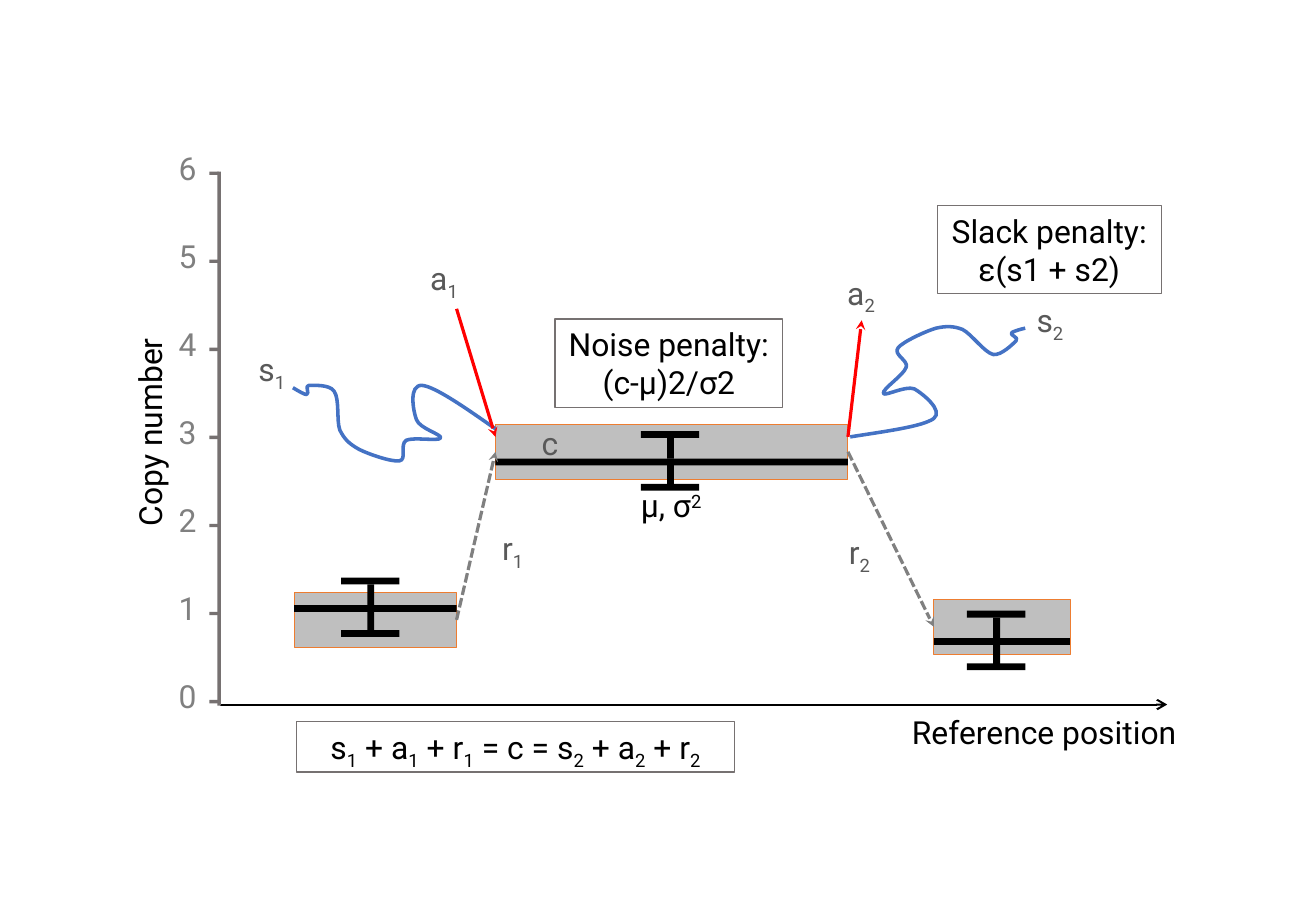
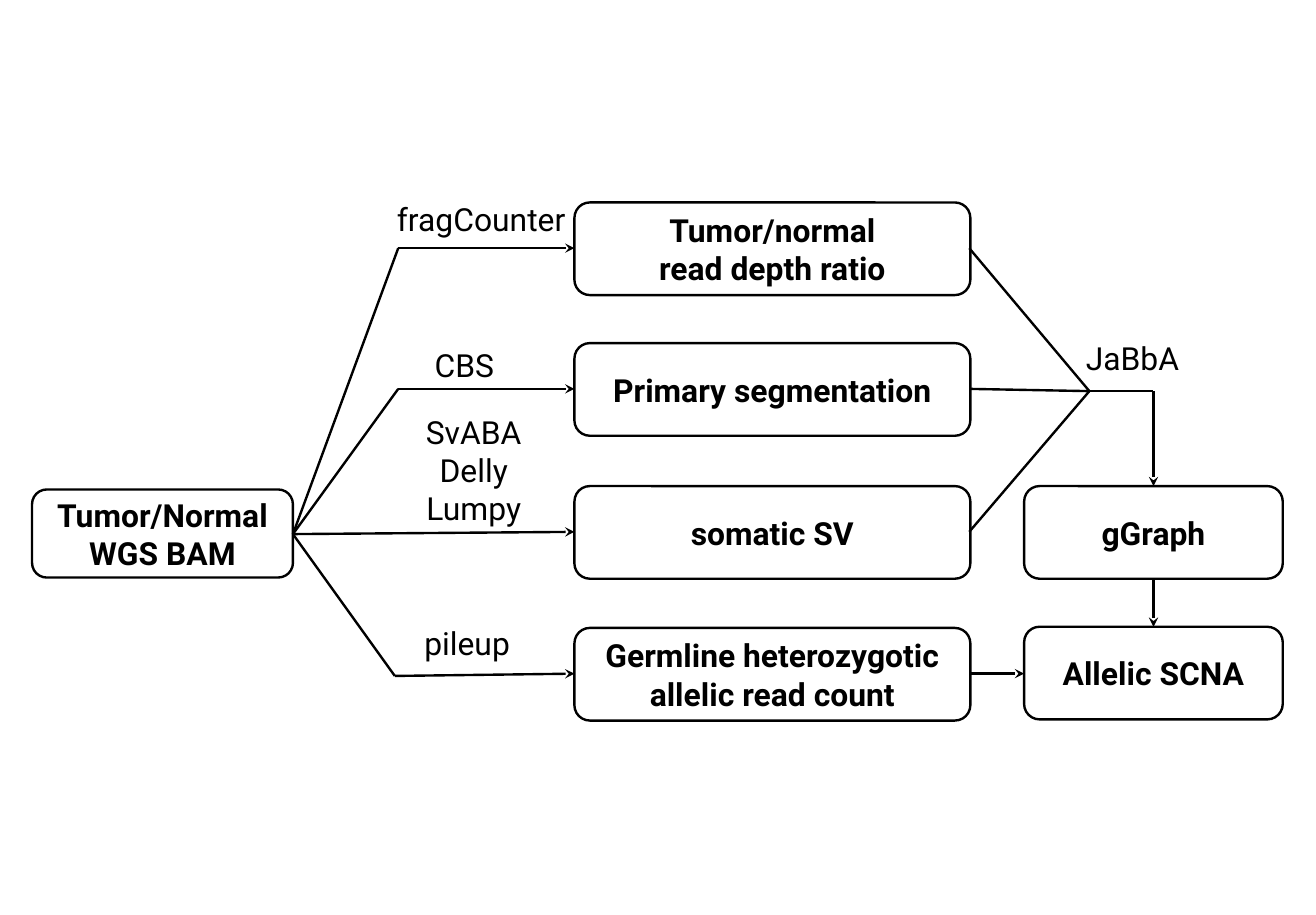
from dataclasses import dataclass

from lxml import etree
from pptx import Presentation
from pptx import util as u
from pptx.dml import color
from pptx.enum import dml, shapes, text
from pptx.oxml import ns


@dataclass(frozen=True)
class Theme:
    """Colours, font and type size shared by both slides."""
    font: str = "Roboto"
    size: int = 20
    black: str = "000000"
    white: str = "FFFFFF"
    symbol: str = "595959"
    tick: str = "808080"
    axis: str = "767171"
    segment: str = "BFBFBF"
    edge: str = "ED7D31"
    slack: str = "4472C4"
    aberrant: str = "FF0000"


theme = Theme()
BASELINES = {"_": "-25000", "^": "30000"}


def add_box(slide, frame, content="", fill=None, line=None, weight=0.75, ink=theme.black,
            preset=None, bold=False, wrap=False, align=text.PP_ALIGN.CENTER):
    """Add a shape or, without a preset, a text box; _ lowers and ^ raises the next character."""
    frame = [u.Inches(value) for value in frame]
    if preset is None:
        box = slide.shapes.add_textbox(*frame)
    else:
        box = slide.shapes.add_shape(preset, *frame)
        box.shadow.inherit = False
        if fill:
            box.fill.solid()
            box.fill.fore_color.rgb = color.RGBColor.from_string(fill)
        else:
            box.fill.background()
        if line:
            box.line.color.rgb = color.RGBColor.from_string(line)
            box.line.width = u.Pt(weight)
        else:
            box.line.fill.background()
    if not content:
        return box
    body = box.text_frame
    body.word_wrap = wrap
    if preset == shapes.MSO_SHAPE.ROUNDED_RECTANGLE:
        body.vertical_anchor = text.MSO_ANCHOR.MIDDLE
    else:
        body.auto_size = text.MSO_AUTO_SIZE.SHAPE_TO_FIT_TEXT
        body.vertical_anchor = text.MSO_ANCHOR.TOP
    body.text = content.replace("_", "\t_").replace("^", "\t^")
    for para in body.paragraphs:
        para.alignment = align
        pieces = []
        for piece in para.text.split("\t"):
            if piece[0] in BASELINES:
                pieces += [(piece[1], BASELINES[piece[0]]), (piece[2:], None)]
            else:
                pieces.append((piece, None))
        para.text = ""
        for piece, baseline in pieces:
            if not piece:
                continue
            span = para.add_run()
            span.text = piece
            span.font.name = theme.font
            span.font.size = u.Pt(theme.size)
            span.font.bold = bold
            span.font.color.rgb = color.RGBColor.from_string(ink)
            if baseline:
                span._r.get_or_add_rPr().set("baseline", baseline)
    return box


def add_line(slide, start, end, ink=theme.black, weight=1.5, arrow=None, dashed=False):
    """Add a straight connector, with an arrowhead at its end if one is named."""
    line = slide.shapes.add_connector(
        shapes.MSO_CONNECTOR.STRAIGHT, *[u.Inches(value) for value in (*start, *end)])
    line.line.color.rgb = color.RGBColor.from_string(ink)
    line.line.width = u.Pt(weight)
    if dashed:
        line.line.dash_style = dml.MSO_LINE.SQUARE_DOT
    if arrow:
        etree.SubElement(line.line._get_or_add_ln(), ns.qn("a:tailEnd"), type=arrow)
    etree.SubElement(line._element.spPr, ns.qn("a:effectLst"))


deck = Presentation()
deck.slide_width = u.Inches(11.5)
deck.slide_height = u.Inches(8)
blank = deck.slide_layouts[6]
rect = shapes.MSO_SHAPE.RECTANGLE
rounded = shapes.MSO_SHAPE.ROUNDED_RECTANGLE

# Slide 1: copy number along the reference
page = deck.slides.add_slide(blank)

add_line(page, (1.92, 6.16), (10.2, 6.16), weight=1.25, arrow="arrow")
add_box(page, (7.85, 6.18, 2.55, 0.44), "Reference position")
add_box(page, (-0.78, 3.56, 4.18, 0.44), "Copy number", wrap=True).rotation = 270
add_box(page, (1.9, 1.5, 0.03, 4.67), fill=theme.axis, preset=rect)
for copies in range(7):
    tick_top = 6.12 - 0.77 * copies
    add_box(page, (1.83, tick_top, 0.08, 0.03), fill=theme.axis, preset=rect)
    add_box(page, (1.46, tick_top - 0.25, 0.36, 0.44), str(copies), ink=theme.tick)

# Segments: left, top, width, top of the mean line, centre of the error bar
segments = [
    (2.57, 5.18, 1.42, 5.29, 3.24),
    (4.33, 3.71, 3.08, 4.01, 5.86),
    (8.16, 5.24, 1.19, 5.58, 8.71),
]
for left, top, width, mean, centre in segments:
    add_box(page, (left, top, width, 0.48), fill=theme.segment, line=theme.edge,
            weight=0.5, preset=rect)
    bars = [(left, mean, width, 0.06)]
    for cap, stem in ((-0.24, -0.18), (0.22, 0.05)):
        bars.append((centre - 0.03, mean + stem, 0.06, 0.18))
        bars.append((centre - 0.26, mean + cap, 0.51, 0.06))
    for bar in bars:
        add_box(page, bar, fill=theme.black, preset=rect)

for start, end in [((3.99, 5.42), (4.33, 3.95)), ((7.41, 3.95), (8.16, 5.48))]:
    add_line(page, start, end, theme.tick, 2, "stealth", dashed=True)

# Slack curves: a start point, then two handles and an end point for each bend
slack_curves = [
    [(4.33, 3.75),
     (4.06, 3.56), (3.8, 3.38), (3.69, 3.37), (3.57, 3.36), (3.61, 3.59), (3.64, 3.67),
     (3.67, 3.75), (3.87, 3.8), (3.85, 3.83), (3.84, 3.86), (3.61, 3.82), (3.55, 3.85),
     (3.49, 3.89), (3.56, 4.02), (3.49, 4.03), (3.42, 4.04), (3.22, 3.97), (3.14, 3.93),
     (3.05, 3.88), (3.01, 3.84), (2.97, 3.76), (2.94, 3.68), (2.97, 3.49), (2.92, 3.42),
     (2.88, 3.36), (2.74, 3.37), (2.7, 3.37), (2.66, 3.37), (2.71, 3.44), (2.68, 3.45),
     (2.66, 3.45), (2.61, 3.42), (2.56, 3.39)],
    [(7.43, 3.82),
     (7.75, 3.77), (8.06, 3.73), (8.16, 3.66), (8.25, 3.59), (8.06, 3.44), (7.99, 3.4),
     (7.91, 3.37), (7.73, 3.47), (7.72, 3.44), (7.71, 3.4), (7.9, 3.28), (7.92, 3.21),
     (7.94, 3.15), (7.8, 3.1), (7.85, 3.04), (7.89, 2.99), (8.08, 2.9), (8.18, 2.87),
     (8.27, 2.85), (8.33, 2.85), (8.41, 2.88), (8.49, 2.92), (8.6, 3.08), (8.68, 3.1),
     (8.75, 3.11), (8.85, 3.01), (8.88, 2.98), (8.91, 2.95), (8.82, 2.93), (8.84, 2.91),
     (8.85, 2.9), (8.91, 2.88), (8.96, 2.87)],
]
for curve in slack_curves:
    points = [(u.Inches(x), u.Inches(y)) for x, y in curve]
    builder = page.shapes.build_freeform(*points[0])
    builder.add_line_segments(points[1:], close=False)
    squiggle = builder.convert_to_shape()
    squiggle.shadow.inherit = False
    squiggle.fill.background()
    squiggle.line.color.rgb = color.RGBColor.from_string(theme.slack)
    squiggle.line.width = u.Pt(2.25)
    # Turn every three straight steps into one Bezier bend
    outline = squiggle._element.find(".//" + ns.qn("a:path"))
    steps = outline.findall(ns.qn("a:lnTo"))
    for first in range(0, len(steps), 3):
        bend = etree.SubElement(outline, ns.qn("a:cubicBezTo"))
        for step in steps[first:first + 3]:
            bend.append(step[0])
            outline.remove(step)

for start, end in [((3.99, 2.7), (4.33, 3.82)), ((7.41, 3.82), (7.53, 2.8))]:
    add_line(page, start, end, theme.aberrant, 2, "stealth")

symbols = [
    ("r_1", 4.28, 4.57, 0.4), ("r_2", 7.31, 4.61, 0.4),
    ("s_1", 2.15, 3.01, 0.45), ("s_2", 8.95, 2.58, 0.45),
    ("a_1", 3.54, 2.21, 0.68), ("a_2", 7.21, 2.34, 0.63),
    ("c", 4.63, 3.66, 0.35),
]
for symbol, left, top, width in symbols:
    add_box(page, (left, top, width, 0.44), symbol, ink=theme.symbol)
add_box(page, (5.48, 4.2, 0.77, 0.44), "μ, σ^2")

formulas = [
    ("s_1 + a_1 + r_1 = c = s_2 + a_2 + r_2", (2.59, 6.31, 3.83, 0.44), True),
    ("Noise penalty:\n(c-μ)2/σ2", (4.85, 2.79, 1.99, 0.77), False),
    ("Slack penalty:\nε(s1 + s2)", (8.19, 1.8, 1.96, 0.77), False),
]
for formula, frame, wrap in formulas:
    add_box(page, frame, formula, line=theme.axis, preset=rect, wrap=wrap)

# Slide 2: analysis pipeline
page = deck.slides.add_slide(blank)

source = (2.56, 4.67)
merge = (9.52, 3.42)
turn = (10.08, 3.42)
rows = [2.17, 3.4, 4.65, 5.89]
middle_left, middle_right = 5.02, 8.47

steps = [
    ("Tumor/Normal WGS BAM", (0.28, 4.28, 2.28, 0.77)),
    ("gGraph", (8.95, 4.25, 2.26, 0.81)),
    ("Allelic SCNA", (8.95, 5.48, 2.26, 0.81)),
]
results = ["Tumor/normal\nread depth ratio", "Primary segmentation", "somatic SV",
           "Germline heterozygotic\nallelic read count"]
for result, row in zip(results, rows):
    steps.append((result, (middle_left, row - 0.4, 3.46, 0.81)))
for step, frame in steps:
    add_box(page, frame, step, fill=theme.white, line=theme.black, weight=1.5,
            preset=rounded, bold=True, wrap=True)

for elbow in [(3.48, rows[0]), (3.48, rows[1]), (3.45, 5.91)]:
    add_line(page, source, elbow)
    add_line(page, elbow, (middle_left, min(elbow[1], rows[3])), arrow="stealth")
add_line(page, source, (middle_left, rows[2]), arrow="stealth")
for row in rows[:3]:
    add_line(page, (middle_right, row), merge)
add_line(page, merge, turn)
add_line(page, turn, (turn[0], 4.25), arrow="stealth")
add_line(page, (turn[0], 5.06), (turn[0], 5.48), arrow="stealth")
add_line(page, (middle_right, rows[3]), (8.95, rows[3]), arrow="stealth")

tools = [
    ("fragCounter", (3.37, 1.7, 1.7, 0.44)),
    ("CBS", (3.7, 2.97, 0.78, 0.44)),
    ("JaBbA", (9.39, 2.91, 1.04, 0.44)),
    ("pileup", (3.61, 5.4, 0.97, 0.44)),
]
for tool, frame in tools:
    add_box(page, frame, tool, align=text.PP_ALIGN.LEFT)
add_box(page, (3.6, 3.56, 1.08, 1.11), "SvABA\nDelly\nLumpy")

deck.save("out.pptx")
